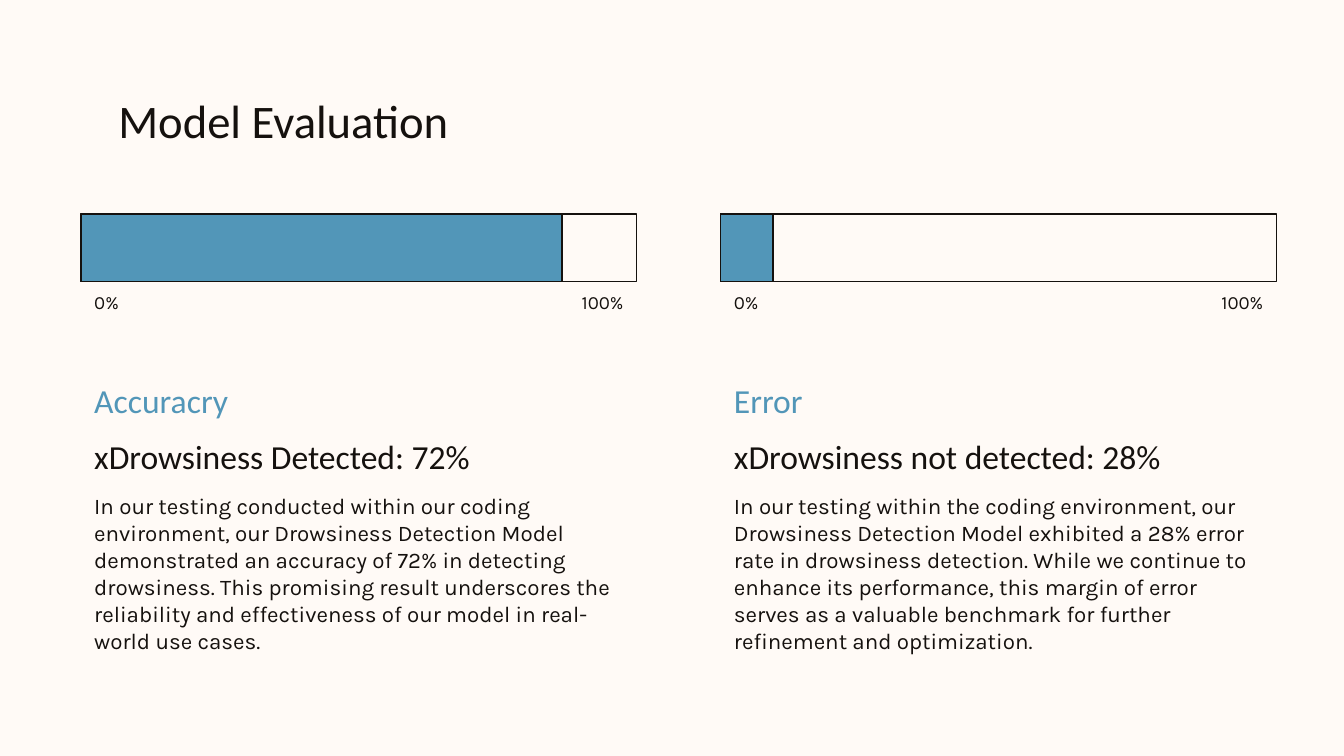
from dataclasses import dataclass

from pptx import Presentation, util as u
from pptx.dml.color import RGBColor
from pptx.enum import shapes, text


@dataclass(frozen=True)
class Theme:
    background: str = "FFFAF6"
    ink: str = "15110E"
    accent: str = "5296B8"
    heading_font: str = "Calibri"
    body_font: str = "Karla"
    title_size: int = 25
    heading_size: int = 18
    body_size: int = 12
    scale_size: int = 10
    outline: float = 0.75


theme = Theme()
presentation = Presentation()
presentation.slide_width = u.Inches(10)
presentation.slide_height = presentation.slide_width * 9 // 16
slide = presentation.slides.add_slide(presentation.slide_layouts[6])
slide.background.fill.solid()
slide.background.fill.fore_color.rgb = RGBColor.from_string(theme.background)

# A square grid: one cell is a hundredth of the slide's width.
CELL = presentation.slide_width / 100
PANEL_LEFT, PANEL_PITCH, PANEL_WIDTH = 6.03, 47.6, 41.34
BAR_TOP, BAR_HEIGHT = 15.94, 5
SCALE_TOP, SCALE_HEIGHT = BAR_TOP + BAR_HEIGHT, 3
HEADING_TOP, RESULT_TOP, BODY_TOP, HEADING_HEIGHT = 27.3, 31.45, 35.64, 5
BODY_HEIGHT = 14

TOP, MIDDLE, BOTTOM = text.MSO_ANCHOR.TOP, text.MSO_ANCHOR.MIDDLE, text.MSO_ANCHOR.BOTTOM
LEFT, RIGHT = text.PP_ALIGN.LEFT, text.PP_ALIGN.RIGHT


def add_text(box, words, font, size, color=theme.ink, anchor=TOP, align=LEFT):
    """Place one run of text; box is left, top, width, height in grid cells."""
    shape = slide.shapes.add_textbox(*(round(n * CELL) for n in box))
    frame = shape.text_frame
    frame.word_wrap = True
    frame.vertical_anchor = anchor
    frame.margin_left = frame.margin_right = u.Inches(0.1)
    frame.margin_top = frame.margin_bottom = u.Inches(0.1)
    paragraph = frame.paragraphs[0]
    paragraph.alignment = align
    run = paragraph.add_run()
    run.text = words
    run.font.name = font
    run.font.size = u.Pt(size)
    run.font.color.rgb = RGBColor.from_string(color)


def add_bar(left, width, fill=None):
    shape = slide.shapes.add_shape(
        shapes.MSO_SHAPE.RECTANGLE,
        *(round(n * CELL) for n in (left, BAR_TOP, width, BAR_HEIGHT)))
    shape.shadow.inherit = False
    if fill:
        shape.fill.solid()
        shape.fill.fore_color.rgb = RGBColor.from_string(fill)
    else:
        shape.fill.background()
    shape.line.color.rgb = RGBColor.from_string(theme.ink)
    shape.line.width = u.Pt(theme.outline)


add_text((7.83, 5.86, 84.4, 6), "Model Evaluation", theme.heading_font, theme.title_size)

# Heading, result, explanation and width of the filled part of the bar.
panels = [
    ("Accuracry", "xDrowsiness Detected: 72%",
     "In our testing conducted within our coding environment, our Drowsiness "
     "Detection Model demonstrated an accuracy of 72% in detecting drowsiness. "
     "This promising result underscores the reliability and effectiveness of "
     "our model in real-world use cases.", 35.8),
    ("Error", "xDrowsiness not detected: 28%",
     "In our testing within the coding environment, our Drowsiness Detection "
     "Model exhibited a 28% error rate in drowsiness detection. While we "
     "continue to enhance its performance, this margin of error serves as a "
     "valuable benchmark for further refinement and optimization.", 3.9),
]

for index, (heading, result, explanation, filled_width) in enumerate(panels):
    left = PANEL_LEFT + index * PANEL_PITCH

    add_bar(left, PANEL_WIDTH)
    add_bar(left, filled_width, theme.accent)

    half = PANEL_WIDTH / 2
    for side, (label, align) in enumerate([("0%", LEFT), ("100%", RIGHT)]):
        add_text((left + side * half, SCALE_TOP, half, SCALE_HEIGHT), label,
                 theme.body_font, theme.scale_size, anchor=MIDDLE, align=align)

    add_text((left, HEADING_TOP, PANEL_WIDTH, HEADING_HEIGHT), heading,
             theme.heading_font, theme.heading_size, theme.accent, MIDDLE)
    add_text((left, RESULT_TOP, PANEL_WIDTH, HEADING_HEIGHT), result,
             theme.heading_font, theme.heading_size, anchor=BOTTOM)
    add_text((left, BODY_TOP, PANEL_WIDTH, BODY_HEIGHT), explanation,
             theme.body_font, theme.body_size)

presentation.save("out.pptx")
